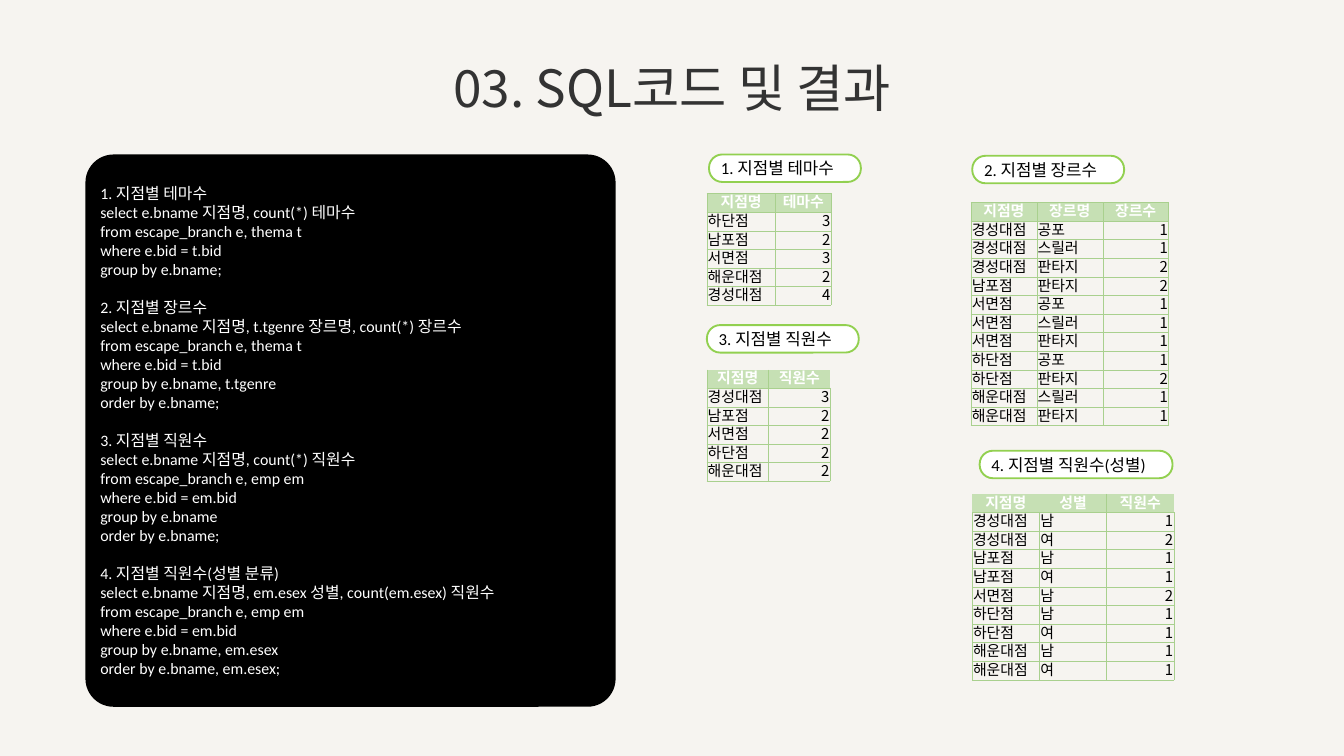
from lxml import etree
from pptx import Presentation
from pptx.dml.color import RGBColor
from pptx.enum.shapes import MSO_SHAPE
from pptx.enum.text import MSO_ANCHOR, MSO_AUTO_SIZE, PP_ALIGN
from pptx.oxml.ns import qn
from pptx.util import Cm, Pt

ROUND = MSO_SHAPE.ROUNDED_RECTANGLE
MID = MSO_ANCHOR.MIDDLE
FIXED = MSO_AUTO_SIZE.NONE
LEFT, CENTER, RIGHT = PP_ALIGN.LEFT, PP_ALIGN.CENTER, PP_ALIGN.RIGHT

COLORS = {"back": "F6F4F0", "title": "333333", "black": "000000",
          "white": "FFFFFF", "green": "92D050", "head": "C6E0B4",
          "grid": "A9D08E"}
NOTO, LATIN = "Noto Sans CJK KR", "Calibri"
FONTS = {
    "title": {"size": Pt(55), "name": NOTO, "bold": False, "color": "title"},
    "code": {"size": Pt(17), "name": LATIN, "bold": False, "color": "white"},
    "badge": {"size": Pt(18), "name": LATIN, "bold": False, "color": "black"},
    "head": {"size": Pt(16), "name": NOTO, "bold": True, "color": "white"},
    "cell": {"size": Pt(16), "name": NOTO, "bold": False, "color": "black"},
}
ROW = 0.704
LINE = Pt(20.4)

CODE = [
    """1. 지점별 테마수
select e.bname 지점명, count(*) 테마수
from escape_branch e, thema t
where e.bid = t.bid
group by e.bname;""",
    """2. 지점별 장르수
select e.bname 지점명, t.tgenre 장르명, count(*) 장르수
from escape_branch e, thema t
where e.bid = t.bid
group by e.bname, t.tgenre
order by e.bname;""",
    """3. 지점별 직원수
select e.bname 지점명, count(*) 직원수
from escape_branch e, emp em
where e.bid = em.bid
group by e.bname
order by e.bname;""",
    """4. 지점별 직원수(성별 분류)
select e.bname 지점명, em.esex 성별, count(em.esex) 직원수
from escape_branch e, emp em
where e.bid = em.bid
group by e.bname, em.esex
order by e.bname, em.esex;""",
]

# Each box holds left, top and badge width; shift moves the badge right, gap
# leads down to the table, and edges lists the header borders by column.
RESULTS = [
    {"box": (26.72, 5.84, 5.74), "shift": 0.08, "gap": 1.48,
     "name": "1. 지점별 테마수", "cols": [2.59, 2.11], "edges": ["LRTB"] * 2,
     "rows": ["지점명 테마수", "하단점 3", "남포점 2", "서면점 3",
              "해운대점 2", "경성대점 4"]},
    {"box": (36.7, 5.89, 5.74), "shift": 0.05, "gap": 1.76,
     "name": "2. 지점별 장르수", "cols": [2.49] * 3, "edges": ["LRTB"] * 3,
     "rows": ["지점명 장르명 장르수", "경성대점 공포 1", "경성대점 스릴러 1",
              "경성대점 판타지 2", "남포점 판타지 2", "서면점 공포 1",
              "서면점 스릴러 1", "서면점 판타지 1", "하단점 공포 1",
              "하단점 판타지 2", "해운대점 스릴러 1", "해운대점 판타지 1"]},
    {"box": (26.72, 12.29, 5.74), "shift": 0, "gap": 1.68,
     "name": "3. 지점별 직원수", "cols": [2.33] * 2, "edges": ["LRB", "LB"],
     "rows": ["지점명 직원수", "경성대점 3", "남포점 2", "서면점 2",
              "하단점 2", "해운대점 2"]},
    {"box": (36.75, 17.04, 7.29), "shift": 0.28, "gap": 1.63,
     "name": "4. 지점별 직원수(성별)", "cols": [2.54] * 3,
     "edges": ["B", "RB", "LB"],
     "rows": ["지점명 성별 직원수", "경성대점 남 1", "경성대점 여 2",
              "남포점 남 1", "남포점 여 1", "서면점 남 2", "하단점 남 1",
              "하단점 여 1", "해운대점 남 1", "해운대점 여 1"]},
]


def tint(key):
    return RGBColor.from_string(COLORS[key])


def write(para, text, style, align=LEFT):
    para.alignment = align
    run = para.add_run()
    run.text = text
    for key, value in FONTS[style].items():
        if key == "color":
            run.font.color.rgb = tint(value)
        else:
            setattr(run.font, key, value)
    # Hangul takes the East Asian font
    etree.SubElement(run.font._element, qn("a:ea")).set("typeface", NOTO)


def panel(slide, box, fill, curve):
    shape = slide.shapes.add_shape(ROUND, *map(Cm, box))
    shape.shadow.inherit = False
    shape.adjustments[0] = curve
    shape.fill.solid()
    shape.fill.fore_color.rgb = tint(fill)
    shape.line.fill.background()
    shape.text_frame.vertical_anchor = MID
    return shape


def heading(slide, box):
    title = slide.shapes.title
    title.left, title.top, title.width, title.height = map(Cm, box)
    frame = title.text_frame
    frame.auto_size, frame.vertical_anchor = FIXED, MID
    write(frame.paragraphs[0], "03. SQL코드 및 결과", "title", CENTER)


def listing(slide, box):
    frame = panel(slide, box, "black", 0.053).text_frame
    frame.word_wrap = True
    para = frame.paragraphs[0]
    for block, query in enumerate(CODE):
        for row, text in enumerate(query.split("\n")):
            if block or row:
                para = frame.add_paragraph()
            if block and not row:
                para.space_before = LINE
            para.line_spacing = LINE
            write(para, text, "code")


def badge(slide, box, text):
    shape = panel(slide, box, "white", 0.48)
    shape.line.color.rgb = tint("green")
    shape.line.width = Pt(2)
    frame = shape.text_frame
    frame.word_wrap = False
    frame.margin_left = Cm(0.3)
    frame.margin_top = frame.margin_bottom = 0
    write(frame.paragraphs[0], text, "badge")


def border(cell, edges):
    props = cell._tc.get_or_add_tcPr()
    for spot, side in enumerate("LRTB"):
        line = etree.Element(qn(f"a:ln{side}"), w=str(Pt(0.5)))
        if side in edges:
            fill = etree.SubElement(line, qn("a:solidFill"))
            etree.SubElement(fill, qn("a:srgbClr")).set("val", COLORS["grid"])
        else:
            etree.SubElement(line, qn("a:noFill"))
        props.insert(spot, line)


def grid(slide, left, top, item):
    rows, cols = [row.split() for row in item["rows"]], item["cols"]
    size = (left, top, sum(cols), ROW * len(rows))
    table = slide.shapes.add_table(len(rows), len(cols), *map(Cm, size)).table
    table.first_row = table.horz_banding = False
    for col, width in zip(table.columns, cols):
        col.width = Cm(width)
    for r, row in enumerate(rows):
        table.rows[r].height = Cm(ROW)
        for c, text in enumerate(row):
            cell = table.cell(r, c)
            cell.vertical_anchor = MID
            cell.margin_left = cell.margin_right = cell.margin_top = Cm(0.03)
            cell.margin_bottom = 0
            if r:
                cell.fill.background()
            else:
                cell.fill.solid()
                cell.fill.fore_color.rgb = tint("head")
            border(cell, "LRTB" if r else item["edges"][c])
            align = CENTER if not r else RIGHT if text.isdigit() else LEFT
            para = cell.text_frame.paragraphs[0]
            para.line_spacing = Pt(19)
            write(para, text, "cell" if r else "head", align)


def result(slide, item):
    left, top, width = item["box"]
    badge(slide, (left + item["shift"], top, width, 1.04), item["name"])
    grid(slide, left, top + item["gap"], item)


def main():
    deck = Presentation()
    deck.slide_width, deck.slide_height = Cm(50.8), Cm(28.58)
    slide = deck.slides.add_slide(deck.slide_layouts[5])
    slide.background.fill.solid()
    slide.background.fill.fore_color.rgb = tint("back")
    heading(slide, (12.45, 1.96, 25.91, 2.62))
    listing(slide, (3.23, 5.84, 20.04, 20.88))
    for item in RESULTS:
        result(slide, item)
    deck.save("out.pptx")


if __name__ == "__main__":
    main()
